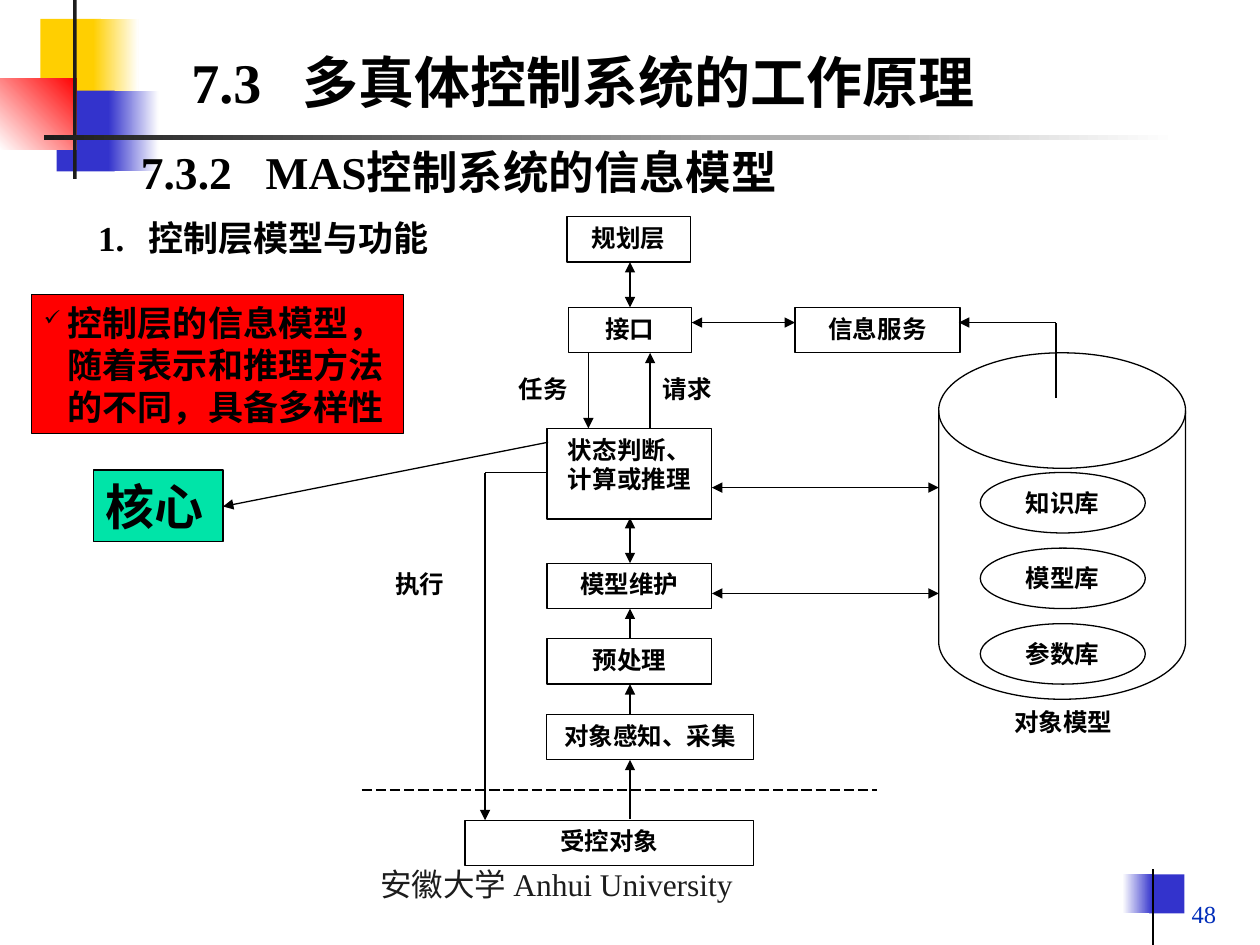
"""Builds the slide on the information model of the MAS control layer."""
from lxml.etree import SubElement
from pptx import Presentation
from pptx.dml.color import RGBColor
from pptx.enum.dml import MSO_LINE
from pptx.enum.shapes import MSO_CONNECTOR, MSO_SHAPE as SHP
from pptx.enum.text import MSO_ANCHOR as ANC, PP_ALIGN as AL
from pptx.oxml.ns import qn
from pptx.util import Pt

PX = 9144
THEME = dict(
    black="000000", dark="1C1C1C", white="FFFFFF", yellow="FFCF01", blue="3333CC",
    red="FF0000", green="00E4A8", number="022EBA", latin="Times New Roman",
    asian="Noto Sans CJK SC", title=32, heading=26, core=28, body=20, footer=18,
    label=14, line=0.75)

prs = Presentation()
prs.slide_width, prs.slide_height = 1000 * PX, 750 * PX
s = prs.slides.add_slide(prs.slide_layouts[6])


def box(at, text="", size="label", kind=SHP.RECTANGLE, fill=None, line="black",
        color="black", bold=True, align=AL.CENTER, anchor=ANC.TOP, wrap=True,
        tab=None, bullet=None):
    at = [v * PX for v in at]
    if kind is None:
        sp = s.shapes.add_textbox(*at)
    else:
        sp = s.shapes.add_shape(kind, *at)
        sp.shadow.inherit = False
        if fill is None:
            sp.fill.background()
        elif isinstance(fill, tuple):
            start, end, angle = fill
            sp.fill.gradient()
            sp.fill.gradient_angle = angle
            for stop, pos, name in zip(sp.fill.gradient_stops, (0, 1), (start, end)):
                stop.position = pos
                stop.color.rgb = RGBColor.from_string(THEME[name])
        else:
            sp.fill.solid()
            sp.fill.fore_color.rgb = RGBColor.from_string(THEME[fill])
        if line:
            sp.line.color.rgb = RGBColor.from_string(THEME[line])
            sp.line.width = Pt(THEME["line"])
        else:
            sp.line.fill.background()
    if not text:
        return
    tf = sp.text_frame
    tf.word_wrap, tf.vertical_anchor = wrap, anchor
    for i, part in enumerate(text.split("\n")):
        p = tf.add_paragraph() if i else tf.paragraphs[0]
        p.alignment = align
        pPr = p._p.get_or_add_pPr()
        if bullet:
            pPr.set("marL", str(19 * PX))
            pPr.set("indent", str(-19 * PX))
            clr = SubElement(pPr, qn("a:buClr"))
            SubElement(clr, qn("a:srgbClr"), val=THEME["black"])
            SubElement(pPr, qn("a:buSzPct"), val="60000")
            SubElement(pPr, qn("a:buChar"), char=bullet)
        if tab:
            tabs = SubElement(pPr, qn("a:tabLst"))
            SubElement(tabs, qn("a:tab"), pos=str(tab * PX), algn="l")
        r = p.add_run()
        r.text = part
        for key, value in dict(name=THEME["latin"], size=Pt(THEME[size]), bold=bold).items():
            setattr(r.font, key, value)
        r.font.color.rgb = RGBColor.from_string(THEME[color])
        SubElement(r._r.get_or_add_rPr(), qn("a:ea"), typeface=THEME["asian"])


def link(x1, y1, x2, y2, ends=(), dash=None):
    c = s.shapes.add_connector(MSO_CONNECTOR.STRAIGHT, *(v * PX for v in (x1, y1, x2, y2)))
    c.line.color.rgb = RGBColor.from_string(THEME["black"])
    c.line.width = Pt(THEME["line"])
    if dash:
        c.line.dash_style = dash
    for end in ends:
        SubElement(c.line._get_or_add_ln(), qn(f"a:{end}End"), type="triangle")
    SubElement(c._element.spPr, qn("a:effectLst"))


TO, BOTH = ("tail",), ("head", "tail")

for at, fill in [
    ((32, 15, 48, 64), "yellow"),
    ((74, 15, 36, 64), ("yellow", "white", 0)),
    ((45, 72, 46, 64), "blue"),
    ((86, 72, 40, 64), ("blue", "white", 0)),
    ((0, 62, 61, 57), ("white", "red", 45)),
    ((58, 0, 3, 142), "dark"),
    ((35, 107, 900, 4), ("dark", "white", 0)),
    ((912, 694, 28, 31), "blue"),
    ((891, 694, 24, 31), ("white", "blue", 0)),
]:
    box(at, fill=fill, line=None)
link(915, 690, 915, 750)

for at, text, size, tab in [
    ((142, 33, 697, 63), "7.3\t多真体控制系统的工作原理", "title", 88),
    ((102, 109, 717, 53), "7.3.2\tMAS控制系统的信息模型", "heading", 99),
    ((68, 167, 417, 43), "1.\t控制层模型与功能", "body", 40),
]:
    box(at, text, size, None, align=AL.LEFT, tab=tab)

for x, y, w, h, text in [
    (450, 172, 98, 36, "规划层"),
    (451, 244, 98, 36, "接口"),
    (631, 244, 131, 36, "信息服务"),
    (434, 340, 131, 72, "状态判断、\n计算或推理"),
    (434, 447, 131, 36, "模型维护"),
    (434, 507, 131, 36, "预处理"),
    (434, 567, 164, 36, "对象感知、采集"),
    (369, 651, 229, 36, "受控对象"),
]:
    box((x, y, w, h), text)

box((745, 280, 196, 275), kind=SHP.FLOWCHART_MAGNETIC_DISK)
for i, text in enumerate(["知识库", "模型库", "参数库"]):
    box((778, 375 + 60 * i, 131, 48), text, kind=SHP.OVAL)

for x, y, w, text, align in [
    (402, 292, 65, "任务", AL.JUSTIFY),
    (516, 292, 65, "请求", AL.JUSTIFY),
    (304, 447, 65, "执行", AL.JUSTIFY),
    (762, 556, 164, "对象模型", AL.CENTER),
]:
    box((x, y, w, 36), text, kind=None, align=align)

for x1, y1, x2, y2, ends in [
    (500, 208, 500, 244, BOTH),
    (549, 256, 631, 256, BOTH),
    (565, 387, 745, 387, BOTH),
    (565, 471, 745, 471, BOTH),
    (500, 447, 500, 411, BOTH),
    (467, 280, 467, 340, TO),
    (516, 340, 516, 280, TO),
    (500, 507, 500, 483, TO),
    (500, 567, 500, 543, TO),
    (500, 650, 500, 603, TO),
    (838, 316, 838, 256, ()),
    (838, 256, 761, 256, TO),
    (434, 375, 385, 375, ()),
    (385, 375, 385, 651, TO),
    (435, 351, 177, 402, TO),
]:
    link(x1, y1, x2, y2, ends)
link(287, 627, 696, 627, dash=MSO_LINE.LONG_DASH)

box((25, 234, 295, 110), "控制层的信息模型，随着表示和推理方法的不同，具备多样性",
    "body", fill="red", align=AL.LEFT, bullet="✓")
box((74, 373, 103, 57), "核心", "core", fill="green", align=AL.LEFT)
box((292, 682, 306, 40), "安徽大学 Anhui University", "footer", None,
    color="dark", bold=False, align=AL.LEFT, wrap=False)
box((767, 690, 208, 52), "48", kind=None, color="number", bold=False,
    align=AL.RIGHT, anchor=ANC.BOTTOM)

prs.save("out.pptx")
